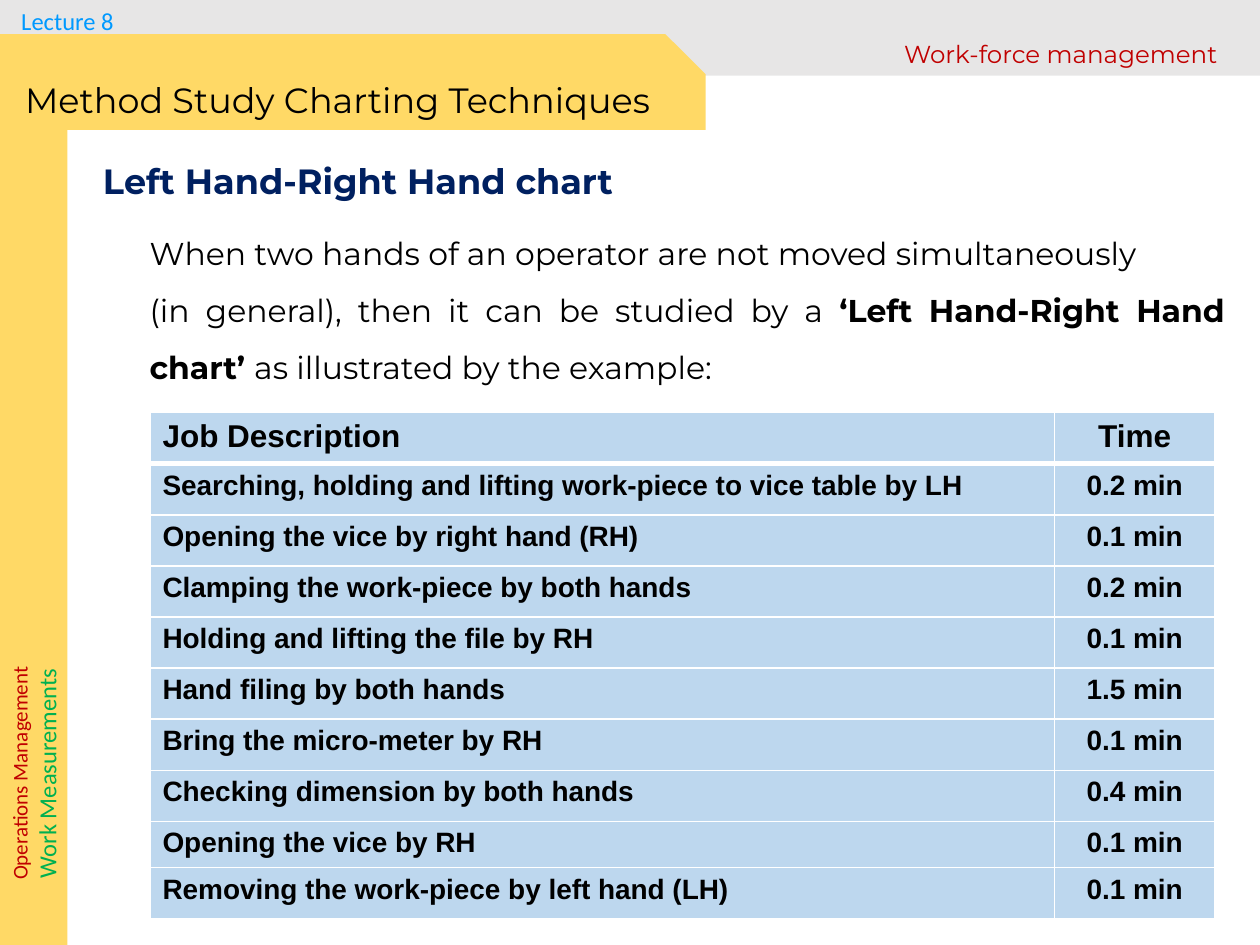
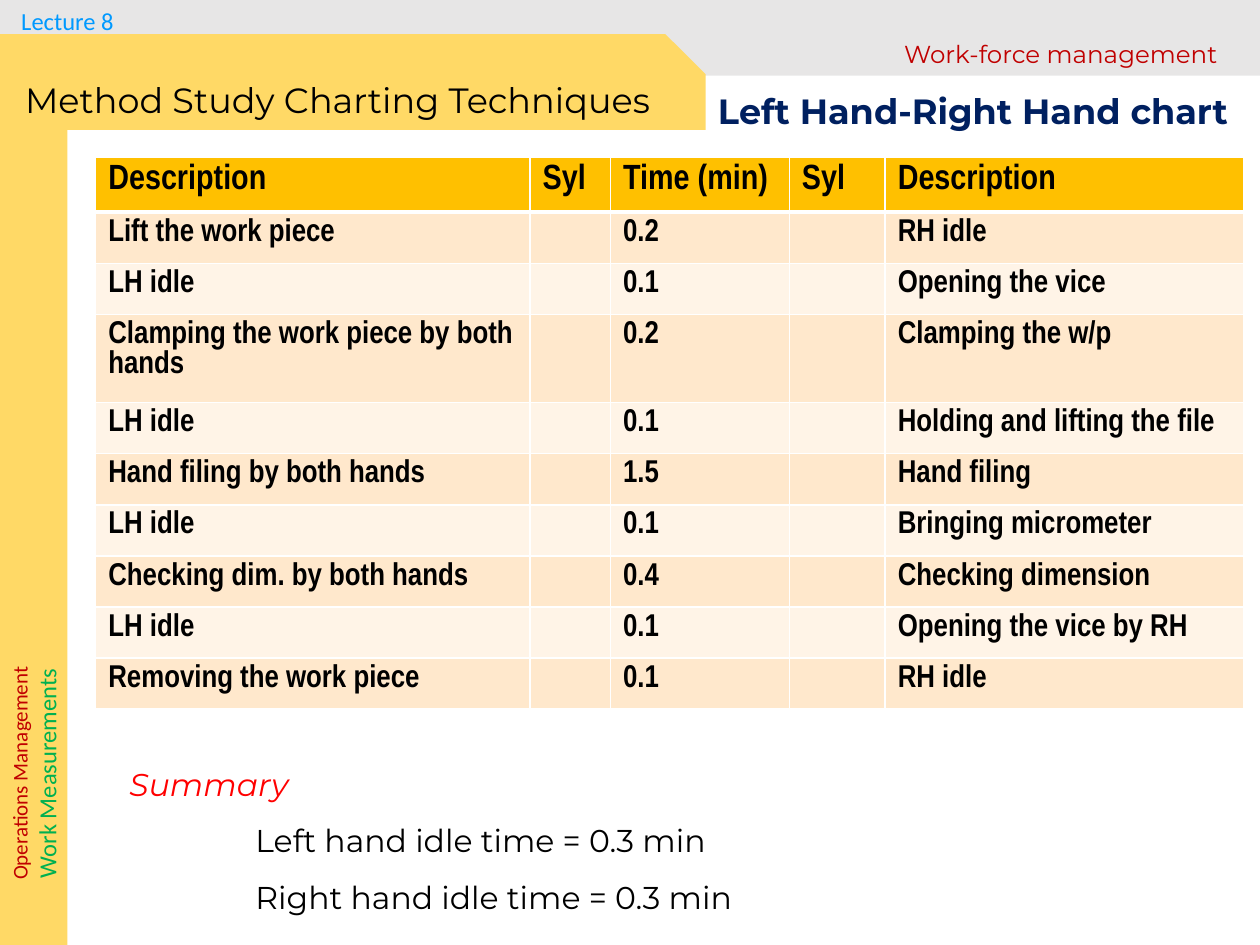
import pptx
import pptx.dml.color
import pptx.enum.shapes
import pptx.enum.text
import pptx.oxml
import pptx.util
from lxml import etree

Pt = pptx.util.Pt
RGB = pptx.dml.color.RGBColor
SHAPE = pptx.enum.shapes.MSO_SHAPE
ALIGN = pptx.enum.text.PP_ALIGN
NS = pptx.oxml.ns.qn

BLACK = RGB(0, 0, 0)
GREY = RGB(0x74, 0x6E, 0x6E)
GOLD = RGB(0xFF, 0xD9, 0x66)
RED = RGB(0xC0, 0, 0)
BRIGHT = RGB(0xFF, 0, 0)
GREEN = RGB(0, 0xB0, 0x50)
SKY = RGB(0, 0x99, 0xFF)
NAVY = RGB(0, 0x20, 0x60)
BLUE = RGB(0xBD, 0xD7, 0xEE)
AMBER = RGB(0xFF, 0xC0, 0)
PEACH = RGB(0xFF, 0xE8, 0xCC)
CREAM = RGB(0xFF, 0xF4, 0xE7)

WIDE, HIGH = 720, 540
ROW = 29.2
HEAD = "Left Hand-Right Hand chart"

JOBS = [
    ("Job Description", "Time"),
    ("Searching, holding and lifting work-piece to vice table by LH", "0.2 min"),
    ("Opening the vice by right hand (RH)", "0.1 min"),
    ("Clamping the work-piece by both hands", "0.2 min"),
    ("Holding and lifting the file by RH", "0.1 min"),
    ("Hand filing by both hands", "1.5 min"),
    ("Bring the micro-meter by RH", "0.1 min"),
    ("Checking dimension by both hands", "0.4 min"),
    ("Opening the vice by RH", "0.1 min"),
    ("Removing the work-piece by left hand (LH)", "0.1 min"),
]
HANDS = [
    ("Description", "Syl", "Time (min)", "Syl", "Description"),
    ("Lift the work piece", "", "0.2", "", "RH idle"),
    ("LH idle", "", "0.1", "", "Opening the vice"),
    ("Clamping the work piece by both hands", "", "0.2", "", "Clamping the w/p"),
    ("LH idle", "", "0.1", "", "Holding and lifting the file"),
    ("Hand filing by both hands", "", "1.5", "", "Hand filing"),
    ("LH idle", "", "0.1", "", "Bringing micrometer"),
    ("Checking dim. by both hands", "", "0.4", "", "Checking dimension"),
    ("LH idle", "", "0.1", "", "Opening the vice by RH"),
    ("Removing the work piece", "", "0.1", "", "RH idle"),
]


def write(para, text, size=18, font="Montserrat", color=BLACK, bold=False,
          italic=False, align=ALIGN.LEFT, space=None, level=0):
    """Add one run to a paragraph and format both."""
    para.alignment = align
    if space:
        para.line_spacing = space
    if level:
        para.level = level
        para._p.get_or_add_pPr().set("marL", str(Pt(36 * level)))
        para._p.get_or_add_pPr().set("indent", "0")
    run = para.add_run()
    run.text = text
    run.font.size = Pt(size)
    run.font.name = font
    run.font.bold = bold
    run.font.italic = italic
    run.font.color.rgb = color


def note(slide, box, *lines, turn=0):
    """Text box; each line is a list of (text, format) runs."""
    shape = slide.shapes.add_textbox(*map(Pt, box))
    shape.rotation = turn
    frame = shape.text_frame
    frame.word_wrap = True
    for i, line in enumerate(lines):
        para = frame.add_paragraph() if i else frame.paragraphs[0]
        for text, form in line:
            write(para, text, **form)


def block(slide, kind, box, color, alpha=None):
    shape = slide.shapes.add_shape(kind, *map(Pt, box))
    shape.shadow.inherit = False
    shape.fill.solid()
    shape.fill.fore_color.rgb = color
    shape.line.fill.background()
    if alpha:
        tint = shape._element.spPr.find(".//" + NS("a:srgbClr"))
        etree.SubElement(tint, NS("a:alpha")).set("val", str(alpha * 1000))
    return shape


def edge(cell, top, base):
    """White borders; only the top and bottom widths vary."""
    props = cell._tc.get_or_add_tcPr()
    sides = zip(("lnL", "lnR", "lnT", "lnB"), (1, 1, top, base))
    for i, (side, width) in enumerate(sides):
        line = etree.Element(NS("a:" + side), w=str(Pt(width)))
        fill = etree.SubElement(line, NS("a:solidFill"))
        etree.SubElement(fill, NS("a:srgbClr"), val="FFFFFF")
        props.insert(i, line)


def grid(slide, box, data, cols, rows, fills, sizes, font, aligns):
    """Table; fills are the header colour and then the row bands."""
    table = slide.shapes.add_table(len(data), len(cols), *map(Pt, box)).table
    for col, width in zip(table.columns, cols):
        col.width = Pt(width)
    for r, line in enumerate(data):
        table.rows[r].height = Pt(rows[r])
        bands = fills[1:]
        for c, text in enumerate(line):
            cell = table.cell(r, c)
            cell.fill.solid()
            cell.fill.fore_color.rgb = bands[(r - 1) % len(bands)] if r else fills[0]
            edge(cell, 3 if r == 1 else 1, 1 if r else 3)
            if text:
                write(cell.text_frame.paragraphs[0], text, font=font, bold=True,
                      size=sizes[1] if r else sizes[0], align=aligns[c])


def base(slide, box):
    """Bands, side label and running titles."""
    x, y, w, h = box
    mid = ALIGN.CENTER
    block(slide, SHAPE.RECTANGLE, (x, y, w, 43.2), GREY, alpha=17)
    tab = block(slide, SHAPE.SNIP_1_RECTANGLE, (x - 0.7, y + 19.6, 404, 54.7), GOLD)
    tab.adjustments[0] = 0.42
    block(slide, SHAPE.RECTANGLE, (x - 0.7, y + 62.6, 39.3, h - 62.6), GOLD)
    note(slide, (x - 54.7, y + 422.4, 149, 39),
         [("Operations Management", dict(size=12, font="Calibri", color=RED, align=mid))],
         [("Work Measurements", dict(size=14, font="Calibri", color=GREEN, align=mid))],
         turn=270)
    note(slide, (x + 2.6, y, 72, 24.2),
         [("Lecture 8", dict(size=14, font="Calibri", color=SKY, align=mid))])
    note(slide, (x + 7.2, y + 41.2, 404.6, 31.5),
         [("Method Study Charting Techniques", dict(size=20))])
    note(slide, (x + w - 216, y + 18.8, 204.5, 24.2),
         [("Work-force management", dict(size=14, color=RED, align=mid))])


def title(slide, x, y):
    note(slide, (x, y, 316.8, 31.5), [(HEAD, dict(size=20, color=NAVY, bold=True))])


def study(slide, box):
    """Introduction and the list of jobs."""
    x, y, w, h = box
    title(slide, x, y)
    form = dict(align=ALIGN.JUSTIFY, space=1.5)
    note(slide, (x + 26.6, y + 31.7, w - 26.6, 127.4),
         [("When two hands of an operator are not moved simultaneously", form)],
         [("(in general), then it can be studied by a ", form),
          ("‘Left Hand-Right Hand chart’ ", dict(form, bold=True)),
          ("as illustrated by the example:", form)])
    rows = [ROW] * 8 + [26.4, ROW]
    grid(slide, (x + 33.9, y + 148, 608.4, sum(rows)), JOBS, (517, 91.4), rows,
         (BLUE, BLUE), (18, 16), "Arial", (ALIGN.LEFT, ALIGN.CENTER))


def chart(slide, box):
    """Two-handed chart and its summary."""
    x, y, w, h = box
    rows = [31] + [ROW] * 2 + [50.3] + [ROW] * 6
    grid(slide, (x, y, w, sum(rows)), HANDS, (248.2, 46, 102.2, 54.8, 204.8), rows,
         (AMBER, PEACH, CREAM), (20, 18), "Arial Narrow", [ALIGN.LEFT] * 5)
    item = dict(space=1.5, level=2)
    note(slide, (x + 12.2, y + 332.6, 506, 105),
         [("Summary", dict(color=BRIGHT, italic=True, space=1.5))],
         [("Left hand idle time = 0.3 min", item)],
         [("Right hand idle time = 0.3 min", item)])
    title(slide, x + 348.5, y - 42.5)


def main():
    deck = pptx.Presentation()
    deck.slide_width, deck.slide_height = Pt(WIDE), Pt(HIGH)
    pages = [(study, (51.8, 87.8, 655.3, 437)), (chart, (54.7, 90, 656, 438))]
    for draw, box in pages:
        slide = deck.slides.add_slide(deck.slide_layouts[6])
        base(slide, (0, 0, WIDE, HIGH))
        draw(slide, box)
    deck.save("out.pptx")


if __name__ == "__main__":
    main()
